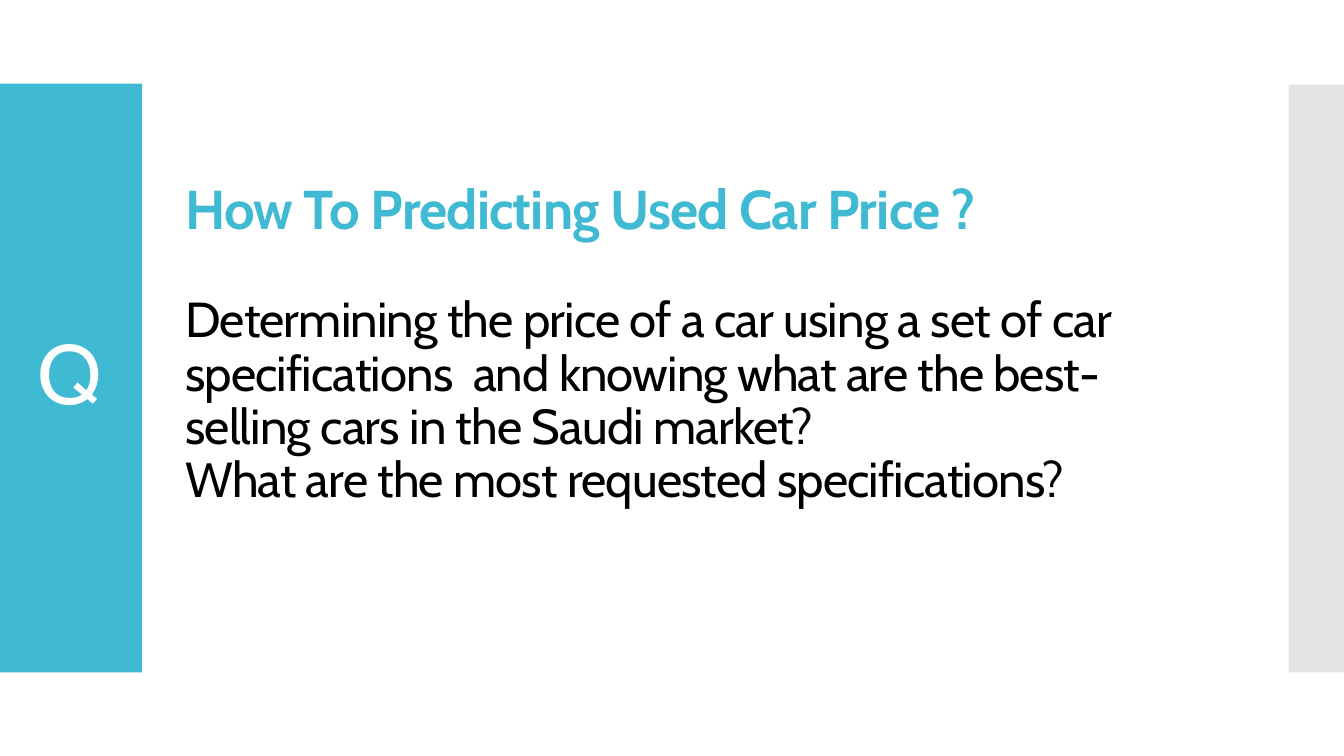
from pptx import Presentation
from pptx.dml.color import RGBColor
from pptx.enum import shapes, text
from pptx.oxml import ns
from pptx.util import Inches, Pt
from lxml import etree

TEAL = RGBColor(0x40, 0xBA, 0xD2)
HEADING_TEAL = RGBColor(0x40, 0xBA, 0xD3)
GREY = RGBColor(0xC8, 0xC8, 0xC8)
WHITE = RGBColor(0xFF, 0xFF, 0xFF)
BLACK = RGBColor(0, 0, 0)

HEADING = {"size": Pt(39), "bold": True}
BODY = {"size": Pt(35.1), "bold": False}
LETTER = {"size": Pt(60), "bold": False}


def add_band(s, left, top, width, height, color, opacity=100):
    sp = s.shapes.add_shape(shapes.MSO_SHAPE.RECTANGLE, Inches(left),
                            Inches(top), Inches(width), Inches(height))
    sp.shadow.inherit = False
    sp.fill.solid()
    sp.fill.fore_color.rgb = color
    sp.line.fill.background()
    if opacity < 100:
        clr = sp.fill._xPr.find(".//" + ns.qn("a:srgbClr"))
        etree.SubElement(clr, ns.qn("a:alpha"), val=str(opacity * 1000))
    return sp


def fill_text(sp, paragraphs, align):
    tf = sp.text_frame
    tf.word_wrap = True
    tf.vertical_anchor = text.MSO_ANCHOR.MIDDLE
    for i, (words, fmt, color, before) in enumerate(paragraphs):
        p = tf.add_paragraph() if i else tf.paragraphs[0]
        p.alignment = align
        p.line_spacing = 0.9
        p.space_before = Pt(before)
        r = p.add_run()
        r.text = words
        r.font.name = "Cabin"
        r.font.color.rgb = color
        for key, value in fmt.items():
            setattr(r.font, key, value)
        r._r.get_or_add_rPr().set("spc", "-60")


def main():
    prs = Presentation()
    prs.slide_width, prs.slide_height = Inches(13.33), Inches(7.5)
    s = prs.slides.add_slide(prs.slide_layouts[6])

    add_band(s, 0, 0.83, 1.41, 5.84, TEAL)
    add_band(s, 12.78, 0.84, 0.55, 5.83, GREY, opacity=50)

    letter = s.shapes.add_textbox(0, Inches(1.23), Inches(1.39), Inches(5.03))
    fill_text(letter, [("Q", LETTER, WHITE, 0)], text.PP_ALIGN.CENTER)

    question = add_band(s, 1.74, 0.86, 10, 5.13, WHITE)
    fill_text(question, [
        ("How To Predicting Used Car Price ?", HEADING, HEADING_TEAL, 0),
        ("Determining the price of a car using a set of car specifications"
         "  and knowing what are the best-selling cars in the Saudi market?",
         BODY, BLACK, 38.5),
        ("What are the most requested specifications?", BODY, BLACK, 0),
    ], text.PP_ALIGN.LEFT)

    prs.save("out.pptx")


main()
